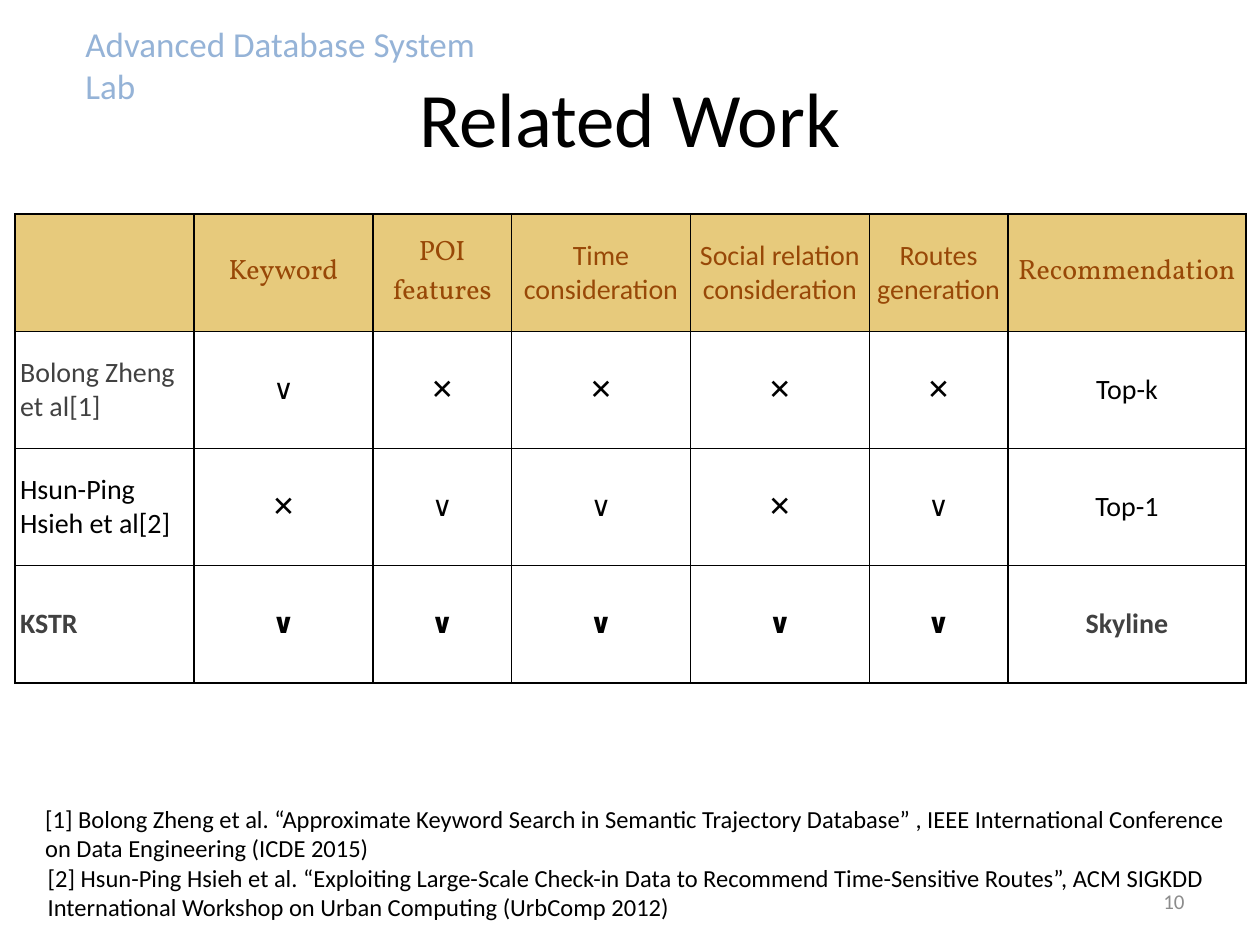
from lxml import etree
from pptx import Presentation
from pptx.dml.color import RGBColor
from pptx.enum.text import MSO_ANCHOR, PP_ALIGN
from pptx.oxml.ns import qn
from pptx.util import Inches, Pt

LEFT, CENTER, RIGHT = PP_ALIGN.LEFT, PP_ALIGN.CENTER, PP_ALIGN.RIGHT
TOP, MIDDLE = MSO_ANCHOR.TOP, MSO_ANCHOR.MIDDLE

BLACK = RGBColor(0x00, 0x00, 0x00)
DARK_GRAY = RGBColor(0x41, 0x41, 0x41)
PAGE_GRAY = RGBColor(0x8C, 0x8C, 0x8C)
LIGHT_BLUE = RGBColor(0x95, 0xB3, 0xD7)
GOLD = RGBColor(0xE7, 0xCA, 0x7C)
BROWN = RGBColor(0x98, 0x48, 0x07)

BODY_FONT, SERIF_FONT, SYMBOL_FONT = "Calibri", "Vollkorn", "Arial"
YES, NO = "∨", "✕"

COLUMN_WIDTHS = [1.42, 1.42, 1.1, 1.42, 1.42, 1.1, 1.89]
ROW_HEIGHT = 0.93
CELL_MARGIN = 0.04
HEADER = ["", "Keyword", "POI features", "Time consideration",
          "Social relation consideration", "Routes generation", "Recommendation"]
SERIF_HEADINGS = {"Keyword", "POI features", "Recommendation"}
METHODS = [
    ["Bolong Zheng et al[1]", YES, NO, NO, NO, NO, "Top-k"],
    ["Hsun-Ping Hsieh et al[2]", NO, YES, YES, NO, YES, "Top-1"],
    ["KSTR", YES, YES, YES, YES, YES, "Skyline"],
]
GRAY_ENTRIES = {"Bolong Zheng et al[1]", "KSTR", "Skyline"}

REFERENCES = [
    (0.26, 6.33, "[1] Bolong Zheng et al. “Approximate Keyword Search in Semantic "
     "Trajectory Database” , IEEE International Conference on Data Engineering "
     "(ICDE 2015)"),
    (0.28, 6.8, "[2] Hsun-Ping Hsieh et al. “Exploiting Large-Scale Check-in Data to "
     "Recommend Time-Sensitive Routes”, ACM SIGKDD International Workshop on Urban "
     "Computing (UrbComp 2012)"),
]


class SlideBuilder:
    def __init__(self, slide):
        self.slide = slide

    def add_text_run(self, text_frame, text, size, color, align=LEFT, font=BODY_FONT,
                     bold=False):
        paragraph = text_frame.paragraphs[0]
        paragraph.alignment = align
        run = paragraph.add_run()
        run.text = text
        run.font.size = Pt(size)
        run.font.name = font
        run.font.bold = bold
        run.font.color.rgb = color

    def text(self, left, top, width, height, text, size, color, align=LEFT, anchor=TOP):
        box = self.slide.shapes.add_textbox(
            Inches(left), Inches(top), Inches(width), Inches(height))
        box.text_frame.word_wrap = True
        box.text_frame.vertical_anchor = anchor
        self.add_text_run(box.text_frame, text, size, color, align)

    def border(self, cell):
        properties = cell._tc.get_or_add_tcPr()
        for side in ("a:lnL", "a:lnR", "a:lnT", "a:lnB"):
            line = etree.SubElement(properties, qn(side), w=str(Pt(1)))
            fill = etree.SubElement(line, qn("a:solidFill"))
            etree.SubElement(fill, qn("a:srgbClr"), val=str(BLACK))

    def cell(self, cell, text, fill=None, **style):
        cell.vertical_anchor = MIDDLE
        cell.margin_left = cell.margin_right = Inches(CELL_MARGIN)
        cell.margin_top = cell.margin_bottom = Inches(CELL_MARGIN)
        self.border(cell)
        if fill is None:
            cell.fill.background()
        else:
            cell.fill.solid()
            cell.fill.fore_color.rgb = fill
        if text:
            self.add_text_run(cell.text_frame, text, 16, **style)

    def comparison_table(self, left, top):
        row_count = len(METHODS) + 1
        table = self.slide.shapes.add_table(
            row_count, len(HEADER), Inches(left), Inches(top),
            Inches(sum(COLUMN_WIDTHS)), Inches(ROW_HEIGHT * row_count)).table
        table.first_row = table.horz_banding = False
        for column, width in zip(table.columns, COLUMN_WIDTHS):
            column.width = Inches(width)
        for row in table.rows:
            row.height = Inches(ROW_HEIGHT)

        for column, heading in enumerate(HEADER):
            self.cell(table.cell(0, column), heading, GOLD, color=BROWN, align=CENTER,
                      font=SERIF_FONT if heading in SERIF_HEADINGS else BODY_FONT)
        for row, entries in enumerate(METHODS, start=1):
            for column, entry in enumerate(entries):
                self.cell(table.cell(row, column), entry,
                          color=DARK_GRAY if entry in GRAY_ENTRIES else BLACK,
                          align=CENTER if column else LEFT,
                          font=SYMBOL_FONT if entry == NO else BODY_FONT,
                          bold=entries[0] == "KSTR")


def main():
    presentation = Presentation()
    presentation.slide_width = Inches(10)
    presentation.slide_height = Inches(7.5)
    builder = SlideBuilder(presentation.slides.add_slide(presentation.slide_layouts[6]))

    builder.text(0.58, 0.13, 3.47, 0.44, "Advanced Database System Lab", 20, LIGHT_BLUE)
    builder.text(0.5, 0.3, 9, 1.25, "Related Work", 44, BLACK, CENTER, MIDDLE)
    builder.comparison_table(0.12, 1.7)
    builder.text(7.17, 6.95, 2.33, 0.4, "10", 12, PAGE_GRAY, RIGHT, MIDDLE)
    for left, top, reference in REFERENCES:
        builder.text(left, top, 9.7, 0.57, reference, 14, BLACK)

    presentation.save("out.pptx")


if __name__ == "__main__":
    main()
